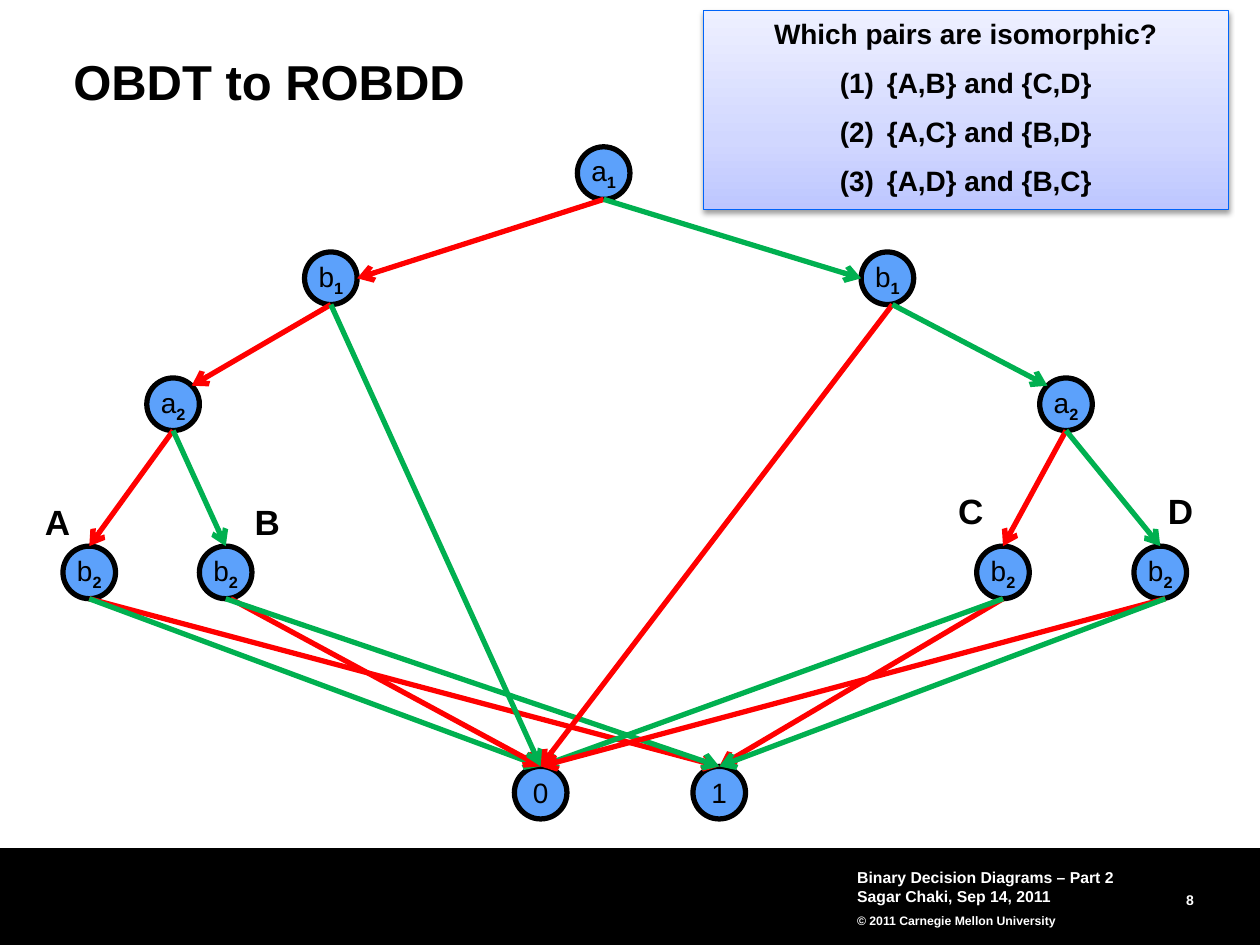
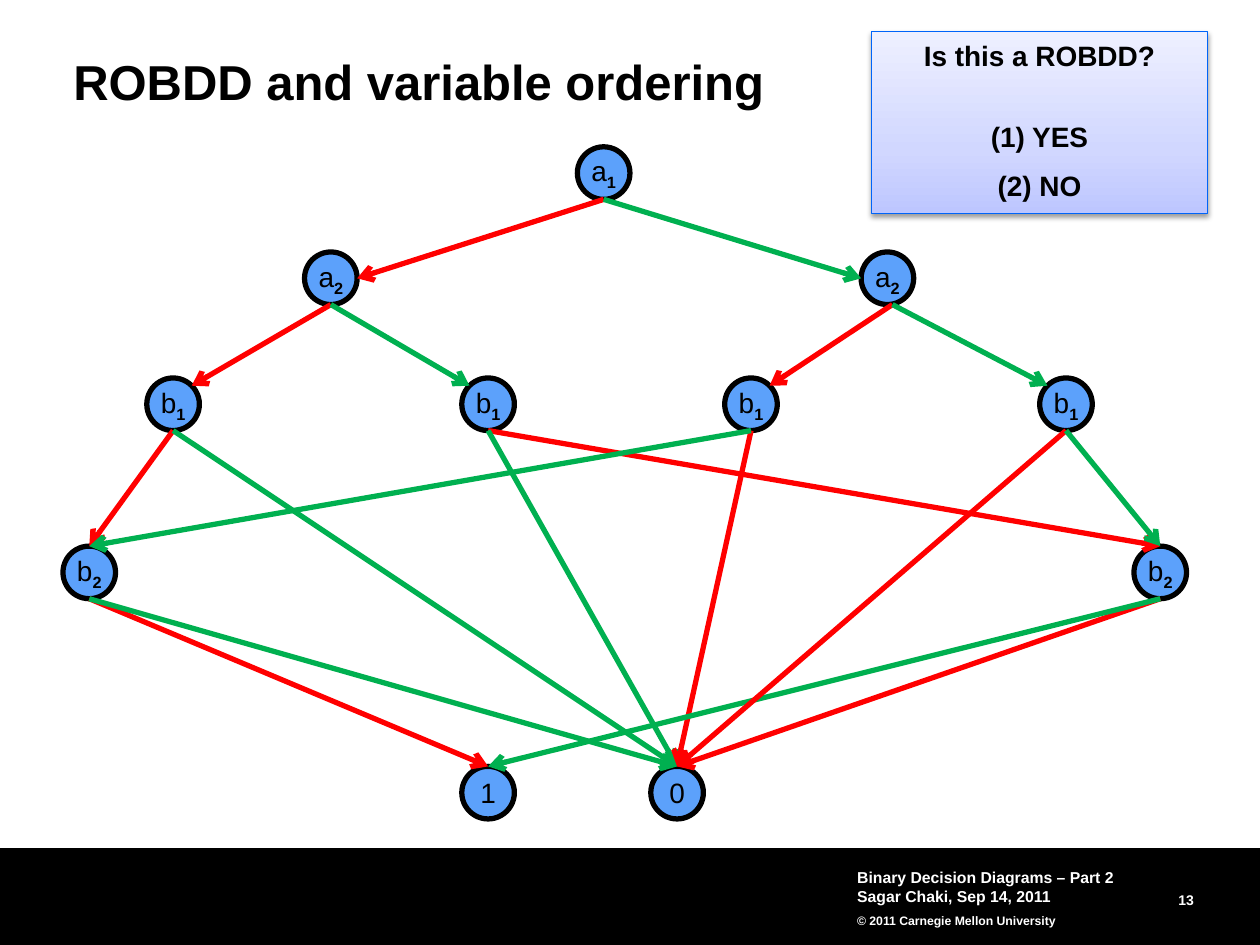
from math import sqrt

from lxml import etree
from pptx import Presentation
from pptx import util as u
from pptx.dml.color import RGBColor
from pptx.enum import shapes, text
from pptx.oxml.ns import qn

FONT = "Arial"
BLACK, WHITE, BLUE, RIM = "000000", "FFFFFF", "5CA1FB", "0064F9"
LOW, HIGH = "FF0000", "00B050"
FADE = ((0, "BDC6FF"), (35, "D1D7FF"), (100, "EEF0FF"))
SIZE = 1.06
ROWS = (2.96, 5.08, 7.62, 11.01, 15.45)
GAP = 8.75
LEFT, MID, RIGHT = text.PP_ALIGN.LEFT, text.PP_ALIGN.CENTER, text.PP_ALIGN.RIGHT
TOP, CORE = text.MSO_ANCHOR.TOP, text.MSO_ANCHOR.MIDDLE

# name: (label, index, left, row)
TREE = {
    "root": ("a", "1", 11.64, 0),
    "left": ("b", "1", 6.14, 1), "right": ("b", "1", 17.36, 1),
    "west": ("a", "2", 2.96, 2), "east": ("a", "2", 20.96, 2),
    "A": ("b", "2", 1.27, 3), "B": ("b", "2", 4.02, 3),
    "C": ("b", "2", 19.69, 3), "D": ("b", "2", 22.86, 3),
    "0": ("0", "", 10.37, 4), "1": ("1", "", 13.97, 4),
}
# (node, low child, high child, low shift, high shift)
TREE_EDGES = (
    ("A", "1", "0", 0, 0), ("B", "0", "1", 0.1, 0), ("west", "A", "B", 0, 0),
    ("C", "1", "0", 0, 0), ("D", "0", "1", 0.1, 0.1), ("east", "C", "D", 0, 0),
    ("left", "west", "0", 0, 0), ("right", "0", "east", 0.1, 0.1),
    ("root", "left", "right", 0, 0),
)
GRAPH = {
    "root": ("a", "1", 11.64, 0),
    "left": ("a", "2", 6.14, 1), "right": ("a", "2", 17.36, 1),
    "west": ("b", "1", 2.96, 2), "inwest": ("b", "1", 9.31, 2),
    "ineast": ("b", "1", 14.61, 2), "east": ("b", "1", 20.96, 2),
    "A": ("b", "2", 1.27, 3), "D": ("b", "2", 22.86, 3),
    "1": ("1", "", 9.31, 4), "0": ("0", "", 13.12, 4),
}
GRAPH_EDGES = (
    ("A", "1", "0", 0, 0), ("west", "A", "0", 0, 0), ("inwest", "D", "0", 0, 0),
    ("ineast", "0", "A", 0, 0), ("D", "0", "1", 0, 0), ("east", "0", "D", 0, 0),
    ("left", "west", "inwest", 0, 0), ("right", "ineast", "east", 0.1, 0.1),
    ("root", "left", "right", 0, 0),
)
MARKS = (("A", 0.64, 9.95), ("B", 4.87, 9.95), ("C", 19.05, 9.74), ("D", 23.28, 9.74))


def paint(code):
    return RGBColor.from_string(code)


def frame(shape, inset=(0, 0), anchor=TOP, wrap=True):
    body = shape.text_frame
    body.word_wrap = wrap
    body.vertical_anchor = anchor
    body.margin_left = body.margin_right = u.Cm(inset[0])
    body.margin_top = body.margin_bottom = u.Cm(inset[1])
    return body


def line(body, align=LEFT, before=0, pitch=None):
    first = body.paragraphs[0]
    para = body.add_paragraph() if first.runs else first
    para.alignment = align
    if before:
        para.space_before = u.Pt(before)
    if pitch:
        para.line_spacing = pitch
    return para


def add_run(para, words, size, color=BLACK, bold=True):
    run = para.add_run()
    run.text = words
    font = run.font
    font.name, font.size, font.bold = FONT, u.Pt(size), bold
    font.color.rgb = paint(color)
    return run


def add_box(slide, left, top, width, height, **look):
    box = slide.shapes.add_textbox(u.Cm(left), u.Cm(top), u.Cm(width), u.Cm(height))
    return frame(box, **look)


def add_form(slide, kind, left, top, width, height):
    form = slide.shapes.add_shape(kind, u.Cm(left), u.Cm(top), u.Cm(width), u.Cm(height))
    form.shadow.inherit = False
    return form


def add_base(deck, title, page):
    slide = deck.slides.add_slide(deck.slide_layouts[6])
    band = add_form(slide, shapes.MSO_SHAPE.RECTANGLE, 0, 17.1, 25.4, 1.95)
    band.fill.solid()
    band.fill.fore_color.rgb = paint(BLACK)
    band.line.fill.background()
    body = add_box(slide, 21.74, 17.85, 2.33, 0.46, anchor=CORE)
    add_run(line(body, RIGHT, pitch=u.Pt(13)), page, 8, WHITE)
    body = add_box(slide, 17.15, 17.36, 6.35, 1.47, inset=(0.13, 0.13), anchor=CORE)
    for words, size, pitch in (
        ("Binary Decision Diagrams – Part 2", 9, None),
        ("Sagar Chaki, Sep 14, 2011", 9, None),
        ("© 2011 Carnegie Mellon University", 7, 1.5),
    ):
        add_run(line(body, pitch=pitch), words, size, WHITE)
    body = add_box(slide, 1.48, 1.17, 22.65, 1.07)
    add_run(line(body, pitch=0.9), title, 28)
    return slide


def add_node(slide, label, index, left, row):
    node = add_form(slide, shapes.MSO_SHAPE.OVAL, left, ROWS[row], SIZE, SIZE)
    node.fill.solid()
    node.fill.fore_color.rgb = paint(BLUE)
    node.line.color.rgb = paint(BLACK)
    node.line.width = u.Pt(3)
    para = line(frame(node, anchor=CORE, wrap=False), MID)
    add_run(para, label, 16, bold=False)
    if index:
        run = add_run(para, index, 16)
        run.font._element.set("baseline", "-25000")


def find_end(start, left, row):
    half = SIZE / 2
    x, y = left + half, ROWS[row] + half
    side = 1 if start > x else -1
    if row == 1:
        return x + side * half, y
    if row == 2:
        reach = half / sqrt(2)
        return x + side * reach, y - reach
    return x, y - half


def add_edge(slide, source, target, color, shift):
    start = source[2] + SIZE / 2 + shift
    x, y = find_end(start, *target[2:])
    edge = slide.shapes.add_connector(
        shapes.MSO_CONNECTOR.STRAIGHT,
        u.Cm(start), u.Cm(ROWS[source[3]] + SIZE), u.Cm(x), u.Cm(y))
    edge.line.color.rgb = paint(color)
    edge.line.width = u.Pt(3)
    etree.SubElement(edge.line._get_or_add_ln(), qn("a:tailEnd"), type="arrow")
    etree.SubElement(edge._element.spPr, qn("a:effectLst"))


def add_graph(slide, nodes, edges):
    for node in nodes.values():
        add_node(slide, *node)
    for name, low, high, *shifts in edges:
        for child, color, shift in zip((low, high), (LOW, HIGH), shifts):
            add_edge(slide, nodes[name], nodes[child], color, shift)


def add_card(slide, left, top, width, height):
    card = add_form(slide, shapes.MSO_SHAPE.RECTANGLE, left, top, width, height)
    card.fill.gradient()
    card.fill.gradient_angle = 90
    props = card._element.spPr
    stops = props.find(".//" + qn("a:gsLst"))
    for stop in list(stops):
        stops.remove(stop)
    for place, color in FADE:
        stop = etree.SubElement(stops, qn("a:gs"), pos=str(place * 1000))
        etree.SubElement(stop, qn("a:srgbClr"), val=color)
    card.line.color.rgb = paint(RIM)
    card.line.width = u.Pt(0.75)
    shade = etree.SubElement(
        props.find(qn("a:effectLst")), qn("a:outerShdw"), blurRad=str(u.Pt(3.1)),
        dist=str(u.Pt(1.6)), dir="5400000", rotWithShape="0")
    tint = etree.SubElement(shade, qn("a:srgbClr"), val=BLACK)
    etree.SubElement(tint, qn("a:alpha"), val="38000")
    return frame(card, inset=(0.25, 0.13))


def add_count(para):
    props = para._p.get_or_add_pPr()
    props.set("marL", str(u.Cm(0.95)))
    props.set("indent", str(-u.Cm(0.95)))
    etree.SubElement(props, qn("a:buFont"), typeface=FONT)
    etree.SubElement(props, qn("a:buAutoNum"), type="arabicParenBoth")


def main():
    deck = Presentation()
    deck.slide_width, deck.slide_height = u.Cm(25.4), u.Cm(19.05)

    slide = add_base(deck, "OBDT to ROBDD", "8")
    add_graph(slide, TREE, TREE_EDGES)
    for mark, left, top in MARKS:
        body = add_box(slide, left, top, 1.04, 1.12, inset=(0.25, 0.13), wrap=False)
        add_run(line(body, MID), mark, 20)
    body = add_card(slide, 14.18, 0.21, 10.58, 4.02)
    add_run(line(body, MID), "Which pairs are isomorphic?", 16)
    for pairs in ("{A,B} and {C,D}", "{A,C} and {B,D}", "{A,D} and {B,C}"):
        para = line(body, MID, GAP)
        add_count(para)
        add_run(para, pairs, 16)

    slide = add_base(deck, "ROBDD and variable ordering", "13")
    add_graph(slide, GRAPH, GRAPH_EDGES)
    body = add_card(slide, 17.57, 0.64, 6.77, 3.67)
    for words, before in (("Is this a ROBDD?", 0), ("(1) YES", 27.5), ("(2) NO", GAP)):
        add_run(line(body, MID, before), words, 16)

    deck.save("out.pptx")


if __name__ == "__main__":
    main()
